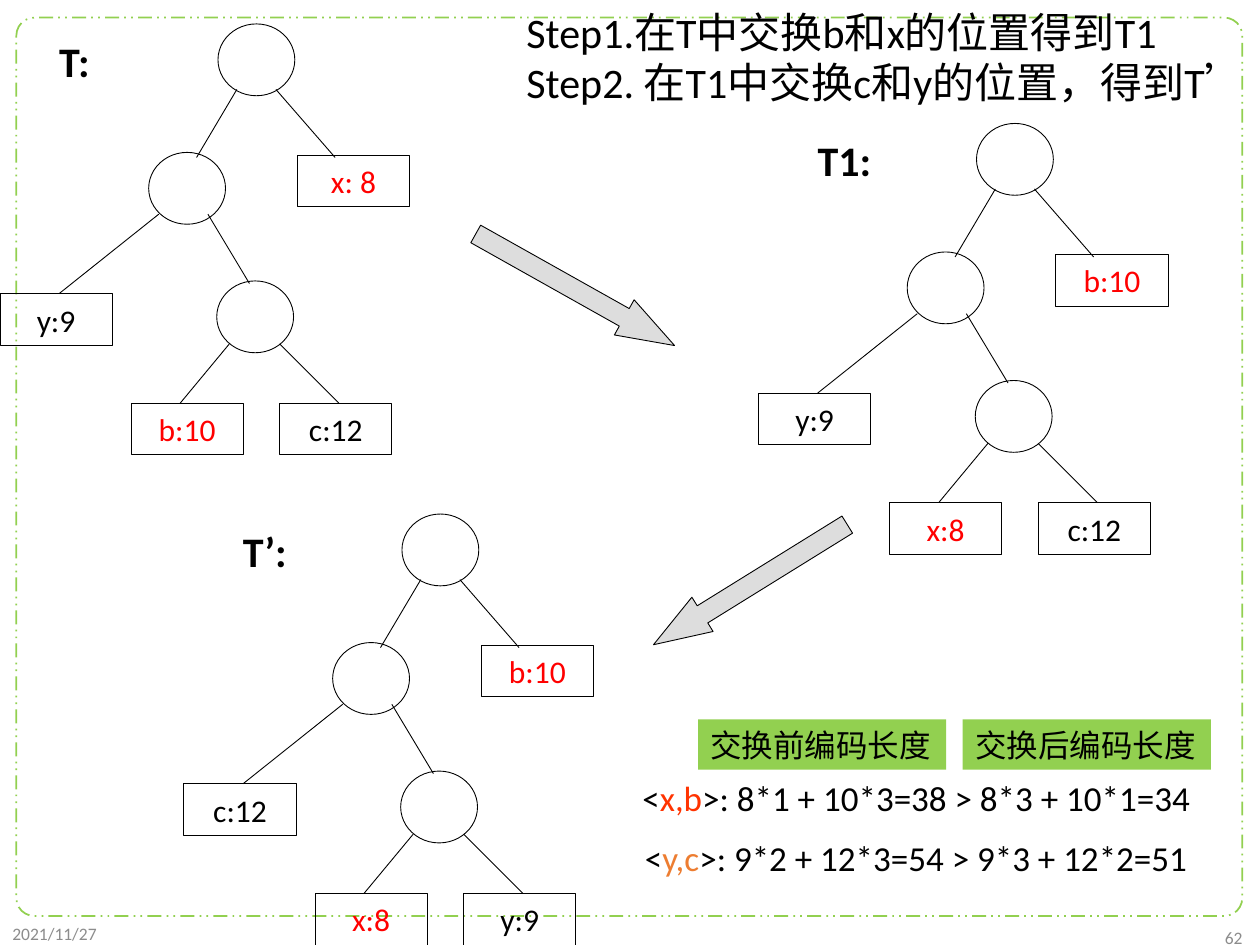
from pptx import Presentation
from pptx.dml.color import RGBColor
from pptx.enum.dml import MSO_LINE
from pptx.enum.shapes import MSO_CONNECTOR, MSO_SHAPE
from pptx.enum.text import MSO_ANCHOR, MSO_AUTO_SIZE, PP_ALIGN
from pptx.oxml.ns import qn
from pptx.util import Inches, Pt
from lxml import etree

BLACK = RGBColor(0x00, 0x00, 0x00)
RED = RGBColor(0xFF, 0x00, 0x00)
ORANGE_RED = RGBColor(0xFF, 0x33, 0x00)
ORANGE = RGBColor(0xED, 0x7D, 0x31)
GREEN = RGBColor(0x92, 0xD0, 0x50)
LIGHT_GRAY = RGBColor(0xDD, 0xDD, 0xDD)
FOOTER_GRAY = RGBColor(0x8C, 0x8C, 0x8C)

LEFT, CENTER, RIGHT = PP_ALIGN.LEFT, PP_ALIGN.CENTER, PP_ALIGN.RIGHT
TOP, MIDDLE = MSO_ANCHOR.TOP, MSO_ANCHOR.MIDDLE
NO_FIT, GROW = MSO_AUTO_SIZE.NONE, MSO_AUTO_SIZE.SHAPE_TO_FIT_TEXT
OVAL, RECTANGLE = MSO_SHAPE.OVAL, MSO_SHAPE.RECTANGLE
ROUNDED, RIGHT_ARROW = MSO_SHAPE.ROUNDED_RECTANGLE, MSO_SHAPE.RIGHT_ARROW
STRAIGHT = MSO_CONNECTOR.STRAIGHT
FRAME_DASH = MSO_LINE.LONG_DASH_DOT_DOT if hasattr(MSO_LINE, "LONG_DASH_DOT_DOT") else MSO_LINE.DASH_DOT_DOT

# Every tree has the same layout, measured from its own origin
NODE_SIZE = (0.61, 0.57)
LEAF_SIZE = (0.89, 0.41)
INNER_NODES = [(1.73, 0.19), (1.18, 1.21), (1.72, 2.23)]
LEAF_PLACES = [(2.36, 1.23), (0, 2.33), (1.04, 3.2), (2.22, 3.2)]
EDGES = [
    (1.88, 0.71, 1.56, 1.25), (2.19, 0.71, 2.66, 1.25),
    (1.26, 1.7, 0.47, 2.33), (1.65, 1.7, 1.98, 2.25),
    (1.82, 2.73, 1.43, 3.2), (2.22, 2.73, 2.69, 3.2),
]
# Name, name width, origin, leaves in the order of LEAF_PLACES, swapped leaves
TREES = [
    ("T:", 0.52, (0, 0), ["x: 8", "y:9", "b:10", "c:12"]),
    ("T1:", 0.71, (6.02, 0.79), ["b:10", "y:9", "x:8", "c:12"]),
    ("T’:", 0.63, (1.46, 3.89), ["b:10", "c:12", "x:8", "y:9"]),
]


def write_text(shape, paragraphs, size, align=LEFT, bold=False, **frame_format):
    """Fill a shape with paragraphs, each a list of (text, colour) runs."""
    frame = shape.text_frame
    settings = {"word_wrap": False, "vertical_anchor": TOP, "auto_size": GROW}
    settings.update(frame_format)
    for name, value in settings.items():
        setattr(frame, name, value)
    for index, runs in enumerate(paragraphs):
        paragraph = frame.add_paragraph() if index else frame.paragraphs[0]
        paragraph.alignment = align
        for text, color in runs:
            run = paragraph.add_run()
            run.text = text
            font_format = {"name": "Calibri", "size": Pt(size), "bold": bold}
            for name, value in font_format.items():
                setattr(run.font, name, value)
            run.font.color.rgb = color


def add_text(shapes, box, paragraphs, size, **text_format):
    shape = shapes.add_textbox(*map(Inches, box))
    write_text(shape, paragraphs, size, **text_format)


def add_outline(shapes, kind, box, fill=None, line=BLACK, width=0.5):
    shape = shapes.add_shape(kind, *map(Inches, box))
    shape.shadow.inherit = False
    if fill is None:
        shape.fill.background()
    else:
        shape.fill.solid()
        shape.fill.fore_color.rgb = fill
    if line is None:
        shape.line.fill.background()
    else:
        shape.line.color.rgb = line
        shape.line.width = Pt(width)
    return shape


def add_edge(shapes, points):
    edge = shapes.add_connector(STRAIGHT, *map(Inches, points))
    edge.line.color.rgb = BLACK
    edge.line.width = Pt(0.5)
    etree.SubElement(edge._element.spPr, qn("a:effectLst"))


def add_tree(shapes, name, name_width, origin, leaves):
    tree = shapes.add_group_shape().shapes
    x, y = origin
    for left, top in INNER_NODES:
        add_outline(tree, OVAL, (x + left, y + top, *NODE_SIZE))
    for x1, y1, x2, y2 in EDGES:
        add_edge(tree, (x + x1, y + y1, x + x2, y + y2))
    for (left, top), label in zip(LEAF_PLACES, leaves):
        leaf = add_outline(tree, RECTANGLE, (x + left, y + top, *LEAF_SIZE))
        color = RED if label[0] in "xb" else BLACK
        write_text(leaf, [[(label, color)]], 18, align=CENTER,
                   word_wrap=True, vertical_anchor=MIDDLE)
    add_text(tree, (x + 0.37, y + 0.23, name_width, 0.51),
             [[(name, BLACK)]], 24, bold=True)


def add_block_arrow(shapes, left, top, rotation):
    arrow = add_outline(shapes, RIGHT_ARROW, (left, top, 1.81, 0.32), LIGHT_GRAY)
    arrow.adjustments[0] = 0.5
    arrow.adjustments[1] = 1.43
    arrow.rotation = rotation


def main():
    presentation = Presentation()
    presentation.slide_width = Inches(10)
    presentation.slide_height = Inches(7.5)
    slide = presentation.slides.add_slide(presentation.slide_layouts[6])
    shapes = slide.shapes

    # Frame, date and slide number
    frame = add_outline(shapes, ROUNDED, (0.13, 0.14, 9.73, 7.13), line=GREEN, width=1)
    frame.adjustments[0] = 0.02
    frame.line.dash_style = FRAME_DASH
    footers = [("2021/11/27", (0, 7.26, 2.25, 0.29), LEFT),
               ("62", (7.71, 7.31, 2.25, 0.26), RIGHT)]
    for text, box, align in footers:
        add_text(shapes, box, [[(text, FOOTER_GRAY)]], 10, align=align,
                 word_wrap=True, vertical_anchor=MIDDLE, auto_size=NO_FIT)

    # Steps
    steps = ["Step1.在T中交换b和x的位置得到T1",
             "Step2. 在T1中交换c和y的位置，得到T’"]
    add_text(shapes, (4.08, 0, 5.86, 0.91), [[(step, BLACK)] for step in steps], 24,
             word_wrap=True, auto_size=NO_FIT, margin_right=0)

    # Trees
    for tree in TREES:
        add_tree(shapes, *tree)

    # Code lengths before and after each swap
    sums = [((5, 6.11, 4.59, 0.44), "x,b", ORANGE_RED, ">: 8*1 + 10*3=38 > 8*3 + 10*1=34"),
            ((5.02, 6.59, 4.55, 0.44), "y,c", ORANGE, ">: 9*2 + 12*3=54 > 9*3 + 12*2=51")]
    for box, pair, color, result in sums:
        add_text(shapes, box, [[("<", BLACK), (pair, color), (result, BLACK)]], 20)
    for left, text in [(5.54, "交换前编码长度"), (7.64, "交换后编码长度")]:
        heading = add_outline(shapes, RECTANGLE, (left, 5.71, 1.97, 0.4), GREEN, None)
        write_text(heading, [[(text, BLACK)]], 18)

    # Arrows from tree to tree
    add_block_arrow(shapes, 3.66, 2.14, 29.3)
    add_block_arrow(shapes, 5.05, 4.48, 148.2)

    presentation.save("out.pptx")


if __name__ == "__main__":
    main()
